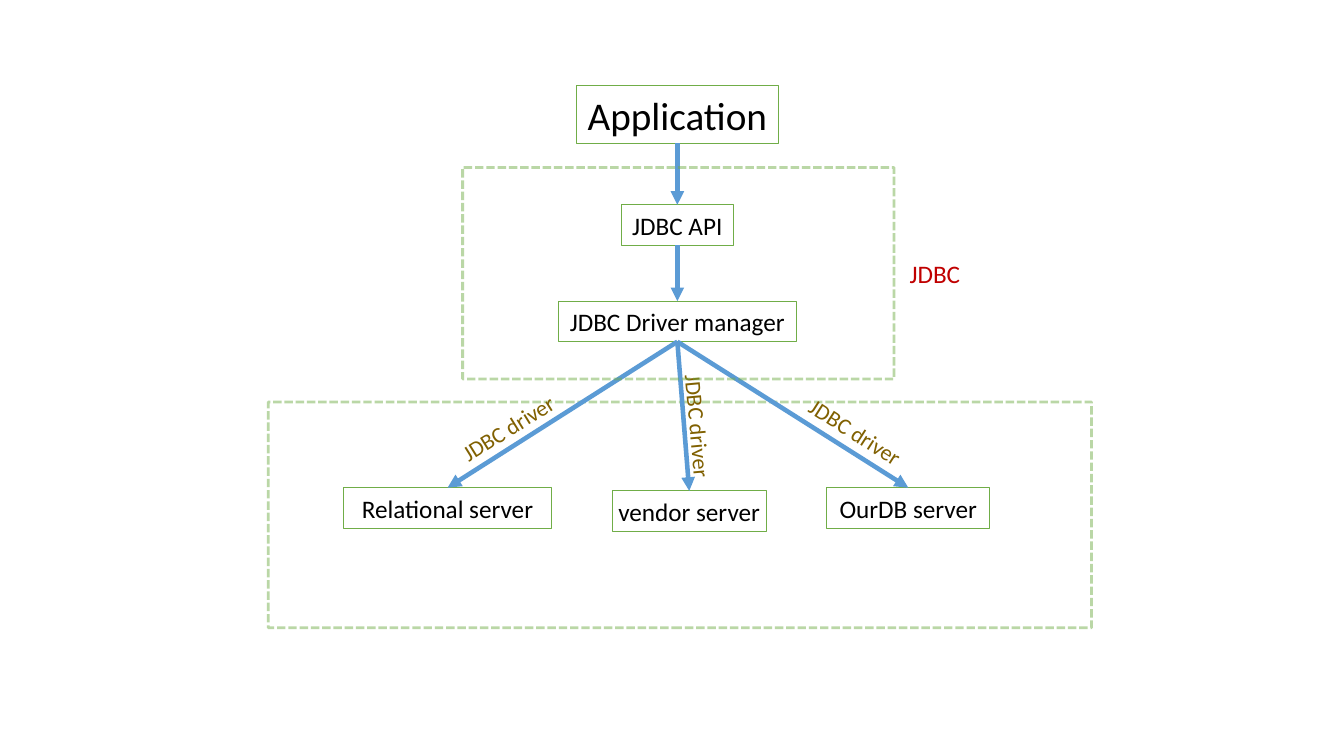
from dataclasses import dataclass

from lxml import etree
from pptx import Presentation
from pptx.dml.color import RGBColor
from pptx.enum.dml import MSO_LINE
from pptx.enum.shapes import MSO_CONNECTOR, MSO_SHAPE
from pptx.enum.text import MSO_ANCHOR, PP_ALIGN
from pptx.oxml.ns import qn
from pptx.util import Cm, Pt

RECTANGLE = MSO_SHAPE.RECTANGLE
STRAIGHT = MSO_CONNECTOR.STRAIGHT
DASH = MSO_LINE.SQUARE_DOT
MIDDLE = MSO_ANCHOR.MIDDLE
CENTER = PP_ALIGN.CENTER
BLANK_LAYOUT = 6
TOP_SITE, BOTTOM_SITE = 0, 2


@dataclass(frozen=True)
class Theme:
    """Colours, type sizes and line widths of the slide."""
    font: str = "Calibri"
    text: str = "000000"
    border: str = "70AD47"
    arrow: str = "5B9BD5"
    driver: str = "806000"
    jdbc: str = "C00000"
    heading_size: float = 28
    body_size: float = 18
    driver_size: float = 16
    border_width: float = 0.75
    frame_width: float = 2
    arrow_width: float = 3.25
    frame_alpha: int = 48000


THEME = Theme()

# Lengths in centimetres.
AXIS = 17.07
BOX_HEIGHT = 1.02
# text, centre x, top, width, height, type size
LAYERS = [
    ("Application", AXIS, 2.16, 5.08, 1.45, THEME.heading_size),
    ("JDBC API", AXIS, 5.16, 2.82, BOX_HEIGHT, THEME.body_size),
    ("JDBC Driver manager", AXIS, 7.59, 5.99, BOX_HEIGHT, THEME.body_size),
]
SERVERS = [
    ("Relational server", 11.28, 12.29, 5.23, BOX_HEIGHT, THEME.body_size),
    ("vendor server", 17.37, 12.37, 3.89, BOX_HEIGHT, THEME.body_size),
    ("OurDB server", 22.89, 12.29, 4.11, BOX_HEIGHT, THEME.body_size),
]
# left, top, width, height
DRIVER_FRAME = (6.76, 10.13, 20.75, 5.69)
JDBC_FRAME = (11.66, 4.22, 10.87, 5.33)
# centre x, top, rotation
DRIVER_LABELS = [(12.8, 10.31, 328.1), (17.6, 10.26, 84.8), (21.56, 10.41, 32.8)]
DRIVER_LABEL_SIZE = (3.15, 0.94)
JDBC_LABEL = (23.56, 6.38, 1.8, BOX_HEIGHT)


def write_text(shape, text, size, color):
    """Write one centred, unwrapped line into a shape."""
    frame = shape.text_frame
    frame.word_wrap = False
    frame.vertical_anchor = MIDDLE
    paragraph = frame.paragraphs[0]
    paragraph.alignment = CENTER
    run = paragraph.add_run()
    run.text = text
    run.font.name = THEME.font
    run.font.size = Pt(size)
    run.font.color.rgb = RGBColor.from_string(color)


def add_outline(slide, left, top, width, height, line_width):
    """Add an unfilled rectangle with a green border."""
    shape = slide.shapes.add_shape(
        RECTANGLE, Cm(left), Cm(top), Cm(width), Cm(height))
    shape.shadow.inherit = False
    shape.fill.background()
    shape.line.color.rgb = RGBColor.from_string(THEME.border)
    shape.line.width = Pt(line_width)
    return shape


def add_box(slide, text, center, top, width, height, size):
    """Add a bordered box centred on a vertical axis."""
    box = add_outline(
        slide, center - width / 2, top, width, height, THEME.border_width)
    write_text(box, text, size, THEME.text)
    return box


def add_frame(slide, bounds):
    """Add a half-transparent dashed frame."""
    frame = add_outline(slide, *bounds, THEME.frame_width)
    frame.line.dash_style = DASH
    color = frame.line._get_or_add_ln().find(".//" + qn("a:srgbClr"))
    etree.SubElement(color, qn("a:alpha"), val=str(THEME.frame_alpha))


def add_arrow(slide, source, target):
    """Connect the bottom of one box to the top of another."""
    arrow = slide.shapes.add_connector(STRAIGHT, 0, 0, 0, 0)
    arrow.begin_connect(source, BOTTOM_SITE)
    arrow.end_connect(target, TOP_SITE)
    arrow.line.color.rgb = RGBColor.from_string(THEME.arrow)
    arrow.line.width = Pt(THEME.arrow_width)
    line = arrow.line._get_or_add_ln()
    etree.SubElement(line, qn("a:tailEnd"), type="triangle")
    etree.SubElement(line.getparent(), qn("a:effectLst"))


def add_label(slide, text, center, top, width, height, size, color, rotation=0):
    """Add a free label, turned around its centre."""
    label = slide.shapes.add_textbox(
        Cm(center - width / 2), Cm(top), Cm(width), Cm(height))
    label.rotation = rotation
    write_text(label, text, size, color)


def build():
    """Build and save the JDBC architecture slide."""
    presentation = Presentation()
    presentation.slide_width, presentation.slide_height = Cm(33.87), Cm(19.05)
    slide = presentation.slides.add_slide(
        presentation.slide_layouts[BLANK_LAYOUT])

    layers = [add_box(slide, *layer) for layer in LAYERS]
    servers = [add_box(slide, *server) for server in SERVERS]
    add_frame(slide, DRIVER_FRAME)
    for source, target in zip(layers, layers[1:]):
        add_arrow(slide, source, target)
    for server in servers:
        add_arrow(slide, layers[-1], server)
    for center, top, rotation in DRIVER_LABELS:
        add_label(slide, "JDBC driver", center, top, *DRIVER_LABEL_SIZE,
                  THEME.driver_size, THEME.driver, rotation)
    add_frame(slide, JDBC_FRAME)
    add_label(slide, "JDBC", *JDBC_LABEL, THEME.body_size, THEME.jdbc)
    presentation.save("out.pptx")


build()
